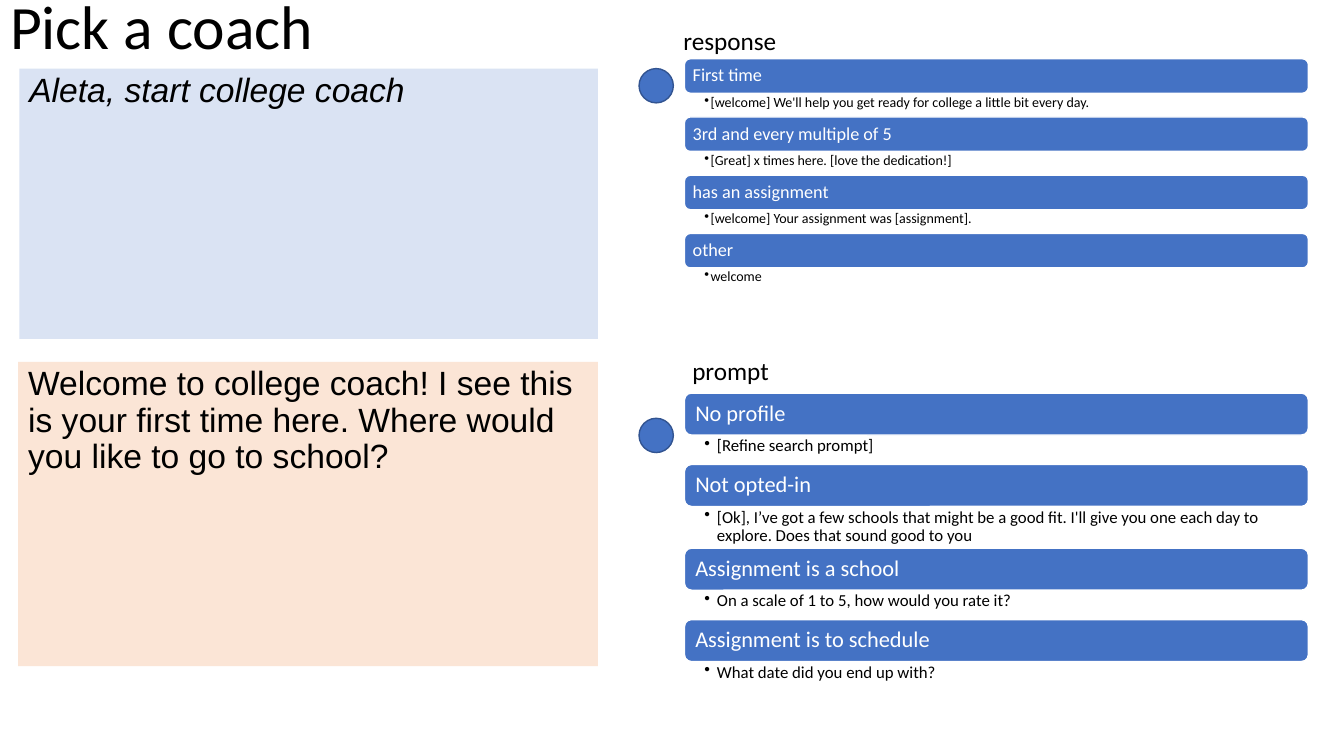
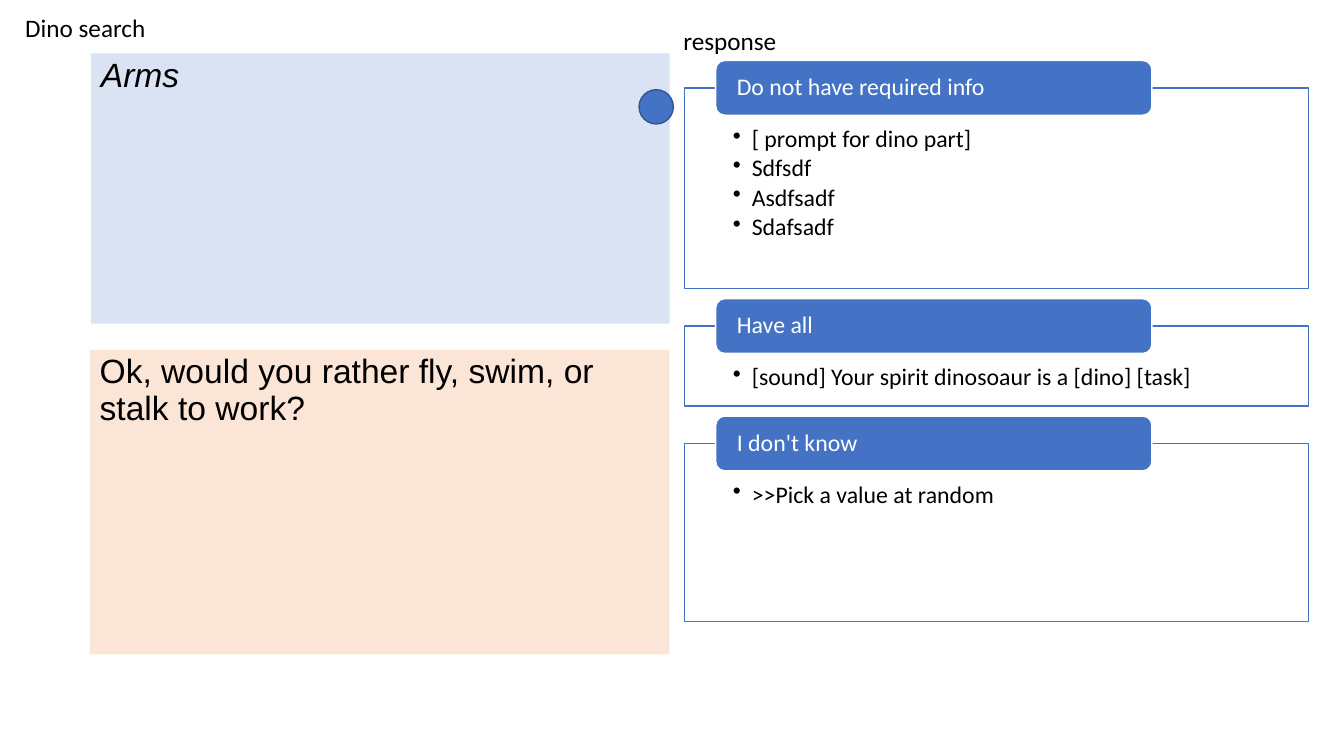
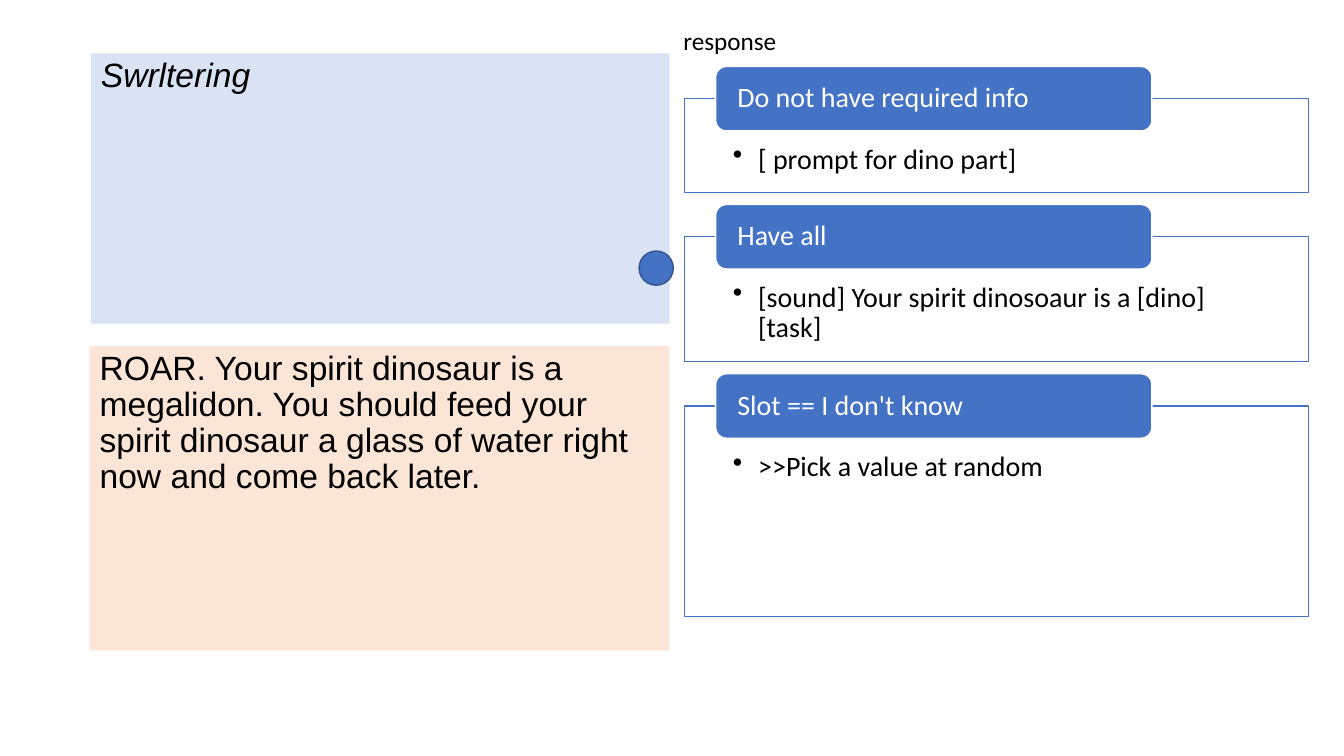
"""Build three slides of a voice coach dialogue: what is said, what is answered, and the rules."""
from dataclasses import dataclass

from lxml import etree
from pptx import Presentation
from pptx.dml.color import RGBColor
from pptx.enum import shapes, text
from pptx.oxml import ns
from pptx.util import Pt


@dataclass(frozen=True)
class Theme:
    """Colours, fonts and type sizes of all slides."""
    accent: str = "4472C4"
    accent_edge: str = "325491"
    said: str = "DAE3F3"
    reply: str = "FBE5D6"
    ink: str = "000000"
    paper: str = "FFFFFF"
    ui_font: str = "Calibri"
    speech_font: str = "Arial"
    title_size: int = 44
    speech_size: int = 24
    label_size: int = 18


THEME = Theme()
RULES_LEFT, RULES_WIDTH = 488.9, 445.7
TAB_LEFT, TAB_WIDTH = 511.2, 311.6
DOT_LEFT, DOT_SIZE = 456.5, 24.5
RESPONSE = ("response", 481, 14.4)

RESPONSE_BARS = dict(
    top=42, bar=24.6, head_size=13, size=10, inset=4.7, indent=4.5,
    rules=[
        ("First time", "[welcome] We'll help you get ready for college a little bit every day.", 17),
        ("3rd and every multiple of 5", "[Great] x times here. [love the dedication!] ", 17),
        ("has an assignment", "[welcome] Your assignment was [assignment].", 17),
        ("other", "welcome", 17),
    ])
PROMPT_BARS = dict(
    top=280.8, bar=30, head_size=16, size=12, inset=6.3, indent=9,
    rules=[
        ("No profile", "[Refine search prompt]", 21),
        ("Not opted-in", "[Ok], I’ve got a few schools that might be a good fit. I'll give you one "
         "each day to explore. Does that sound good to you", 29.8),
        ("Assignment is a school", "On a scale of 1 to 5, how would you rate it?", 21),
        ("Assignment is to schedule", "What date did you end up with?", 32.4),
    ])
PART_PROMPT = "[ prompt for dino part] "
SPIRIT_ANSWER = "[sound] Your spirit dinosoaur is a [dino] [task]"
RANDOM_PICK = ">>Pick a value at random"
SEARCH_FRAMES = dict(
    top=43.2, size=17, indent=13.5,
    rules=[
        ("Do not have required info", [PART_PROMPT, "Sdfsdf", "Asdfsadf", "Sdafsadf"], 143.3),
        ("Have all", [SPIRIT_ANSWER], 57),
        ("I don't know", [RANDOM_PICK], 127.4),
    ])
RESULT_FRAMES = dict(
    top=47.5, size=20, indent=18,
    rules=[
        ("Do not have required info", [PART_PROMPT], 67),
        ("Have all", [SPIRIT_ANSWER], 89.3),
        ("Slot == I don't know", [RANDOM_PICK], 150.5),
    ])

SLIDES = [
    dict(title=("Pick a coach", THEME.title_size, (0, -31, 828, 104.4)),
         said=("Aleta, start college coach", 13.9, 49),
         reply=("Welcome to college coach! I see this is your first time here. "
                "Where would you like to go to school?", 13, 258.5),
         bars=[RESPONSE_BARS, PROMPT_BARS], frames=[],
         dots=[49, 298.8], labels=[RESPONSE, ("prompt", 487.4, 250)]),
    dict(title=("Dino search", THEME.label_size, (10.8, 6.5, 120, 29)),
         said=("Arms", 65, 38.2),
         reply=("Ok, would you rather fly, swim, or stalk to work?", 64.1, 250),
         bars=[], frames=[SEARCH_FRAMES], dots=[64.1], labels=[RESPONSE]),
    dict(title=None,
         said=("Swrltering", 65, 38.2),
         reply=("ROAR. Your spirit dinosaur is a megalidon. You should feed your spirit "
                "dinosaur a glass of water right now and come back later.", 64.1, 247.2),
         bars=[], frames=[RESULT_FRAMES], dots=[179.3], labels=[RESPONSE]),
]


def points(values):
    return [Pt(value) for value in values]


def add_block(slide, preset, box, fill, edge=None):
    block = slide.shapes.add_shape(preset, *points(box))
    block.shadow.inherit = False
    block.fill.solid()
    block.fill.fore_color.rgb = RGBColor.from_string(fill)
    if edge:
        block.line.color.rgb = RGBColor.from_string(edge)
        block.line.width = Pt(1)
    else:
        block.line.fill.background()
    return block


def add_bullet(paragraph, indent):
    properties = paragraph._p.get_or_add_pPr()
    properties.set("marL", str(Pt(indent)))
    properties.set("indent", str(-Pt(indent)))
    etree.SubElement(properties, ns.qn("a:buChar")).set("char", "•")


def write(shape, lines, size, color=THEME.ink, font=THEME.ui_font, italic=None, inset=(7.2, 3.6, 7.2, 3.6),
          anchor=text.MSO_ANCHOR.TOP, spacing=0.9, before=0, after=0, indent=0):
    frame = shape.text_frame
    frame.word_wrap = True
    frame.auto_size = text.MSO_AUTO_SIZE.NONE
    frame.vertical_anchor = anchor
    frame.margin_left, frame.margin_top, frame.margin_right, frame.margin_bottom = points(inset)
    frame.text = "\n".join(lines)
    for paragraph in frame.paragraphs:
        paragraph.alignment = text.PP_ALIGN.LEFT
        paragraph.line_spacing = spacing
        paragraph.space_before, paragraph.space_after = Pt(before), Pt(after)
        if indent:
            add_bullet(paragraph, indent)
        paragraph.font.size, paragraph.font.name = Pt(size), font
        paragraph.font.italic = italic
        paragraph.font.color.rgb = RGBColor.from_string(color)


def add_heading(slide, heading, box, size, inset):
    bar = add_block(slide, shapes.MSO_SHAPE.ROUNDED_RECTANGLE, box, THEME.accent, THEME.paper)
    write(bar, [heading], size, THEME.paper, inset=(inset, 0, inset, 0), anchor=text.MSO_ANCHOR.MIDDLE)


def add_bars(slide, top, bar, head_size, size, inset, indent, rules):
    for heading, answer, height in rules:
        add_heading(slide, heading, (RULES_LEFT, top, RULES_WIDTH, bar), head_size, inset)
        answer_box = slide.shapes.add_textbox(*points((RULES_LEFT, top + bar, RULES_WIDTH, height)))
        write(answer_box, [answer], size, inset=(14.2, 1.4, 8, 1.4), indent=indent)
        top += bar + height


def add_frames(slide, top, size, indent, rules):
    tab, gap = 2.3 * size, 0.43 * size
    for heading, answers, height in rules:
        frame_top = top + tab / 2
        frame = add_block(slide, shapes.MSO_SHAPE.RECTANGLE, (RULES_LEFT, frame_top, RULES_WIDTH, height),
                          THEME.paper, THEME.accent)
        write(frame, answers, size, inset=(34.6, 1.65 * size, 34.6, 0.5 * size),
              after=0.15 * size, indent=indent)
        add_heading(slide, heading, (TAB_LEFT, top, TAB_WIDTH, tab), size, 13.2)
        top = frame_top + height + gap


def add_speech(slide, words, left, top, width, height, fill, italic=None):
    panel = add_block(slide, shapes.MSO_SHAPE.RECTANGLE, (left, top, width, height), fill)
    write(panel, [words], THEME.speech_size, font=THEME.speech_font, italic=italic, before=10)


def build_slide(deck, content):
    slide = deck.slides.add_slide(deck.slide_layouts[5 if content["title"] else 6])
    if content["title"]:
        words, size, box = content["title"]
        title = slide.shapes.title
        title.left, title.top, title.width, title.height = points(box)
        write(title, [words], size, anchor=text.MSO_ANCHOR.MIDDLE)
    for bars in content["bars"]:
        add_bars(slide, **bars)
    for frames in content["frames"]:
        add_frames(slide, **frames)
    add_speech(slide, *content["said"], 413.3, 193, THEME.said, italic=True)
    add_speech(slide, *content["reply"], 414, 217.4, THEME.reply)
    for top in content["dots"]:
        add_block(slide, shapes.MSO_SHAPE.OVAL, (DOT_LEFT, top, DOT_SIZE, DOT_SIZE),
                  THEME.accent, THEME.accent_edge)
    for words, left, top in content["labels"]:
        label = slide.shapes.add_textbox(*points((left, top, 90, 29)))
        write(label, [words], THEME.label_size, spacing=1)


deck = Presentation()
deck.slide_width, deck.slide_height = Pt(960), Pt(540)
for content in SLIDES:
    build_slide(deck, content)
deck.save("out.pptx")
